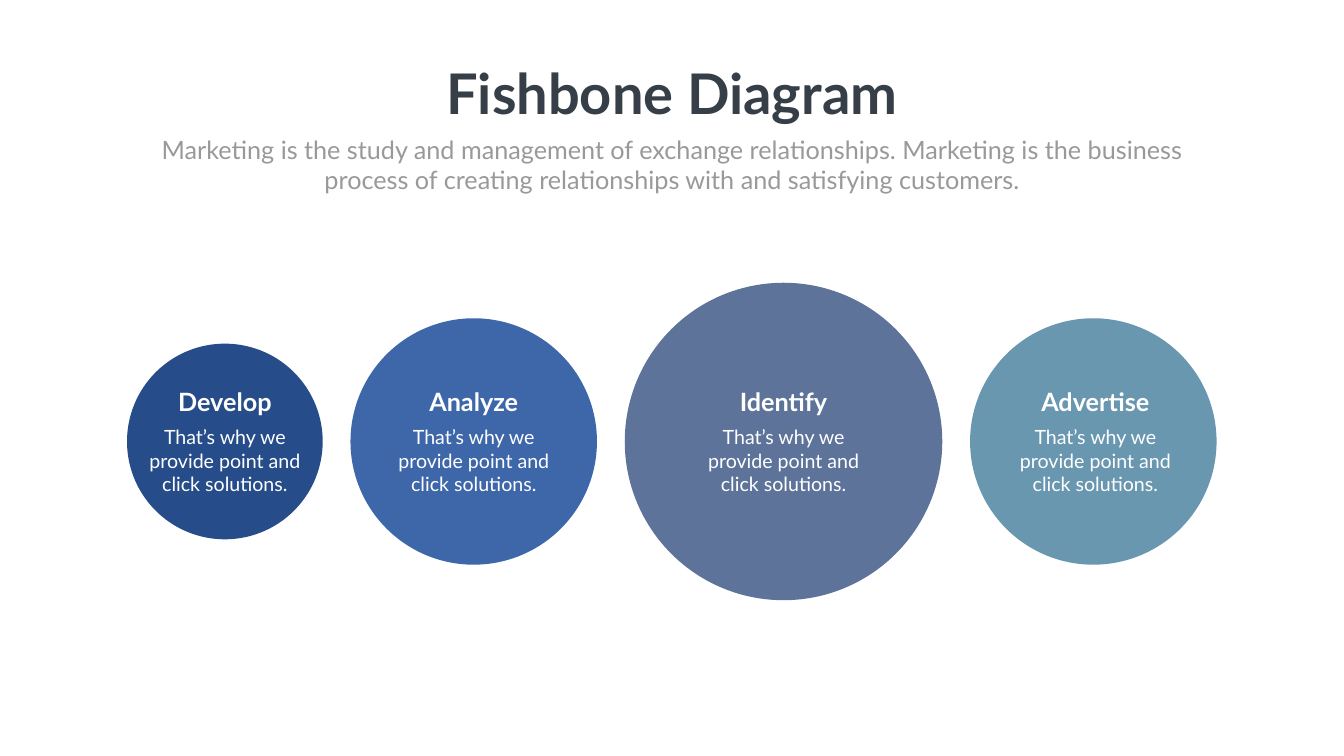
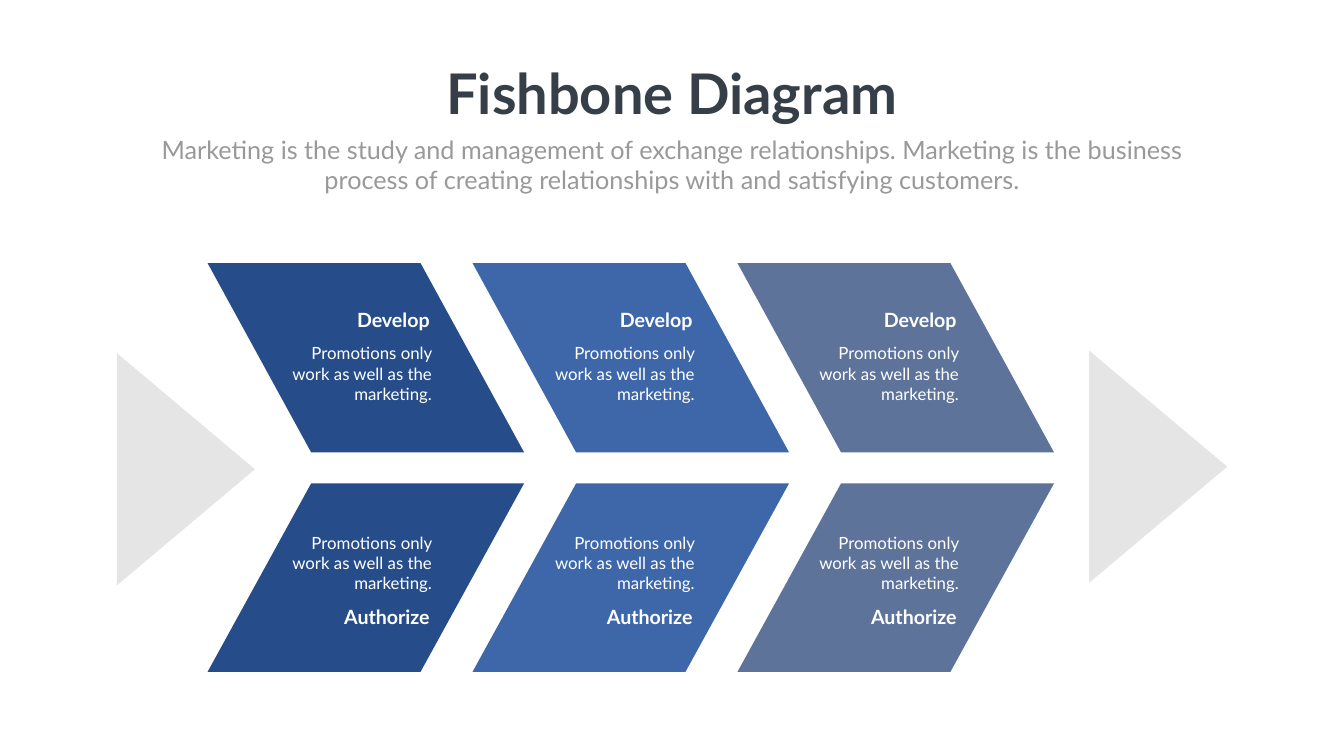
"""Build two fishbone diagram slides: a row of circles and an arrow of parallelograms."""

from dataclasses import dataclass

from lxml import etree
from pptx import Presentation
from pptx import util as u
from pptx.dml.color import RGBColor
from pptx.enum import shapes, text
from pptx.oxml.ns import qn


@dataclass(frozen=True)
class Theme:
    font: str = "Lato"
    navy: str = "264D89"
    blue: str = "3E67AA"
    slate: str = "5D739A"
    teal: str = "6997AF"
    gray: str = "808080"
    white: str = "FFFFFF"
    title: str = "363E48"
    subtitle: str = "999999"
    title_size: int = 80
    subtitle_size: int = 36
    circle_heading_size: int = 36
    circle_body_size: int = 28
    bone_heading_size: int = 28
    bone_body_size: int = 24


@dataclass(frozen=True)
class Box:
    left: float
    top: float
    width: float
    height: float


@dataclass(frozen=True)
class Style:
    size: int
    color: str
    bold: bool = False
    align: text.PP_ALIGN = text.PP_ALIGN.CENTER
    wrap: bool = True


@dataclass(frozen=True)
class Circle:
    heading: str
    diameter: float
    color: str
    text_shift: float = 0


@dataclass(frozen=True)
class BoneColumn:
    color: str
    text_left: float


@dataclass(frozen=True)
class BoneRow:
    heading: str
    top: float
    height: float
    heading_top: float
    body_top: float
    points_down: bool


THEME = Theme()
SLIDE_WIDTH, SLIDE_HEIGHT = 67.72, 38.1

TITLE = "Fishbone Diagram"
SUBTITLE = (
    "Marketing is the study and management of exchange relationships. "
    "Marketing is the business process of creating relationships with "
    "and satisfying customers."
)
CIRCLE_BODY = "That’s why we provide point and click solutions."
BONE_BODY = "Promotions only work as well as the marketing."

CIRCLES = (
    Circle("Develop", 9.86, THEME.navy),
    Circle("Analyze", 12.42, THEME.blue),
    Circle("Identify", 16, THEME.slate),
    Circle("Advertise", 12.42, THEME.teal, text_shift=0.1),
)
CIRCLES_LEFT, CIRCLES_MIDDLE, CIRCLE_GAP = 6.4, 22.25, 1.4

BONE_COLUMNS = (
    BoneColumn(THEME.navy, 13.51),
    BoneColumn(THEME.blue, 26.75),
    BoneColumn(THEME.slate, 40.06),
)
BONE_ROWS = (
    BoneRow("Develop", 13.26, 9.54, 15.37, 17.17, points_down=True),
    BoneRow("Authorize", 24.36, 9.5, 30.38, 26.72, points_down=False),
)
BONES_LEFT, BONE_PITCH, BONE_EDGE, BONE_SLANT = 10.46, 13.35, 10.73, 5.22
ARROWS = (Box(3.51, 20.17, 11.71, 6.96), Box(52.5, 20.04, 11.71, 6.96))


def place(box: Box) -> tuple:
    """Turn a box into the four lengths that a shape needs."""
    return u.Cm(box.left), u.Cm(box.top), u.Cm(box.width), u.Cm(box.height)


def paint(shape, color: str) -> None:
    """Give a shape a flat fill with no line and no shadow."""
    shape.shadow.inherit = False
    shape.fill.solid()
    shape.fill.fore_color.rgb = RGBColor.from_string(color)
    shape.line.fill.background()


def add_text(slide, box: Box, words: str, style: Style) -> None:
    """Add one styled paragraph in a text box."""
    shape = slide.shapes.add_textbox(*place(box))
    frame = shape.text_frame
    frame.text = words
    frame.word_wrap = style.wrap
    frame.auto_size = text.MSO_AUTO_SIZE.SHAPE_TO_FIT_TEXT
    paragraph = frame.paragraphs[0]
    paragraph.alignment = style.align
    for run in paragraph.runs:
        run.font.name = THEME.font
        run.font.size = u.Pt(style.size)
        run.font.bold = style.bold
        run.font.color.rgb = RGBColor.from_string(style.color)


def add_slide(presentation):
    """Add a blank slide with the shared title and subtitle."""
    slide = presentation.slides.add_slide(presentation.slide_layouts[6])
    add_text(slide, Box(22.05, 2.84, 23.62, 3.68), TITLE,
             Style(THEME.title_size, THEME.title, bold=True, wrap=False))
    add_text(slide, Box(7.42, 6.63, 52.88, 3.33), SUBTITLE,
             Style(THEME.subtitle_size, THEME.subtitle))
    return slide


def add_circle(slide, circle: Circle, left: float) -> None:
    """Add a circle on the shared middle line with its heading and body."""
    size = circle.diameter
    oval = Box(left, CIRCLES_MIDDLE - size / 2, size, size)
    paint(slide.shapes.add_shape(shapes.MSO_SHAPE.OVAL, *place(oval)), circle.color)
    center = left + size / 2 + circle.text_shift
    heading_width, body_width = 7.98, 8.59
    add_text(slide, Box(center - heading_width / 2, 19.35, heading_width, 1.8),
             circle.heading, Style(THEME.circle_heading_size, THEME.white, bold=True))
    add_text(slide, Box(center - body_width / 2, 21.29, body_width, 3.84),
             CIRCLE_BODY, Style(THEME.circle_body_size, THEME.white))


def add_bone(slide, column: BoneColumn, row: BoneRow, left: float) -> None:
    """Add a slanted parallelogram with its heading and body."""
    top_shift = 0 if row.points_down else BONE_SLANT
    bottom_shift = BONE_SLANT - top_shift
    bottom = row.top + row.height
    corners = [
        (left + top_shift, row.top),
        (left + top_shift + BONE_EDGE, row.top),
        (left + bottom_shift + BONE_EDGE, bottom),
        (left + bottom_shift, bottom),
    ]
    points = [(u.Cm(x), u.Cm(y)) for x, y in corners]
    builder = slide.shapes.build_freeform(*points[0])
    builder.add_line_segments(points[1:], close=True)
    paint(builder.convert_to_shape(), column.color)
    right = text.PP_ALIGN.RIGHT
    add_text(slide, Box(column.text_left + 0.9, row.heading_top, 7.49, 1.45),
             row.heading, Style(THEME.bone_heading_size, THEME.white, True, right))
    add_text(slide, Box(column.text_left, row.body_top, 8.5, 3.33),
             BONE_BODY, Style(THEME.bone_body_size, THEME.white, align=right))


def add_arrow(slide, box: Box) -> None:
    """Add a pale triangle pointing right."""
    shape = slide.shapes.add_shape(shapes.MSO_SHAPE.ISOSCELES_TRIANGLE, *place(box))
    shape.rotation = 90
    paint(shape, THEME.gray)
    color = shape.fill._xPr.find(qn("a:solidFill")).find(qn("a:srgbClr"))
    etree.SubElement(color, qn("a:alpha"), val="20000")


def build_circles(presentation) -> None:
    """Build the slide with a row of circles."""
    slide = add_slide(presentation)
    left = CIRCLES_LEFT
    for circle in CIRCLES:
        add_circle(slide, circle, left)
        left += circle.diameter + CIRCLE_GAP


def build_bones(presentation) -> None:
    """Build the slide with two rows of bones between two arrows."""
    slide = add_slide(presentation)
    for index, column in enumerate(BONE_COLUMNS):
        for row in BONE_ROWS:
            add_bone(slide, column, row, BONES_LEFT + index * BONE_PITCH)
    for arrow in ARROWS:
        add_arrow(slide, arrow)


def main() -> None:
    """Build and save the presentation."""
    presentation = Presentation()
    presentation.slide_width = u.Cm(SLIDE_WIDTH)
    presentation.slide_height = u.Cm(SLIDE_HEIGHT)
    build_circles(presentation)
    build_bones(presentation)
    presentation.save("out.pptx")


if __name__ == "__main__":
    main()
